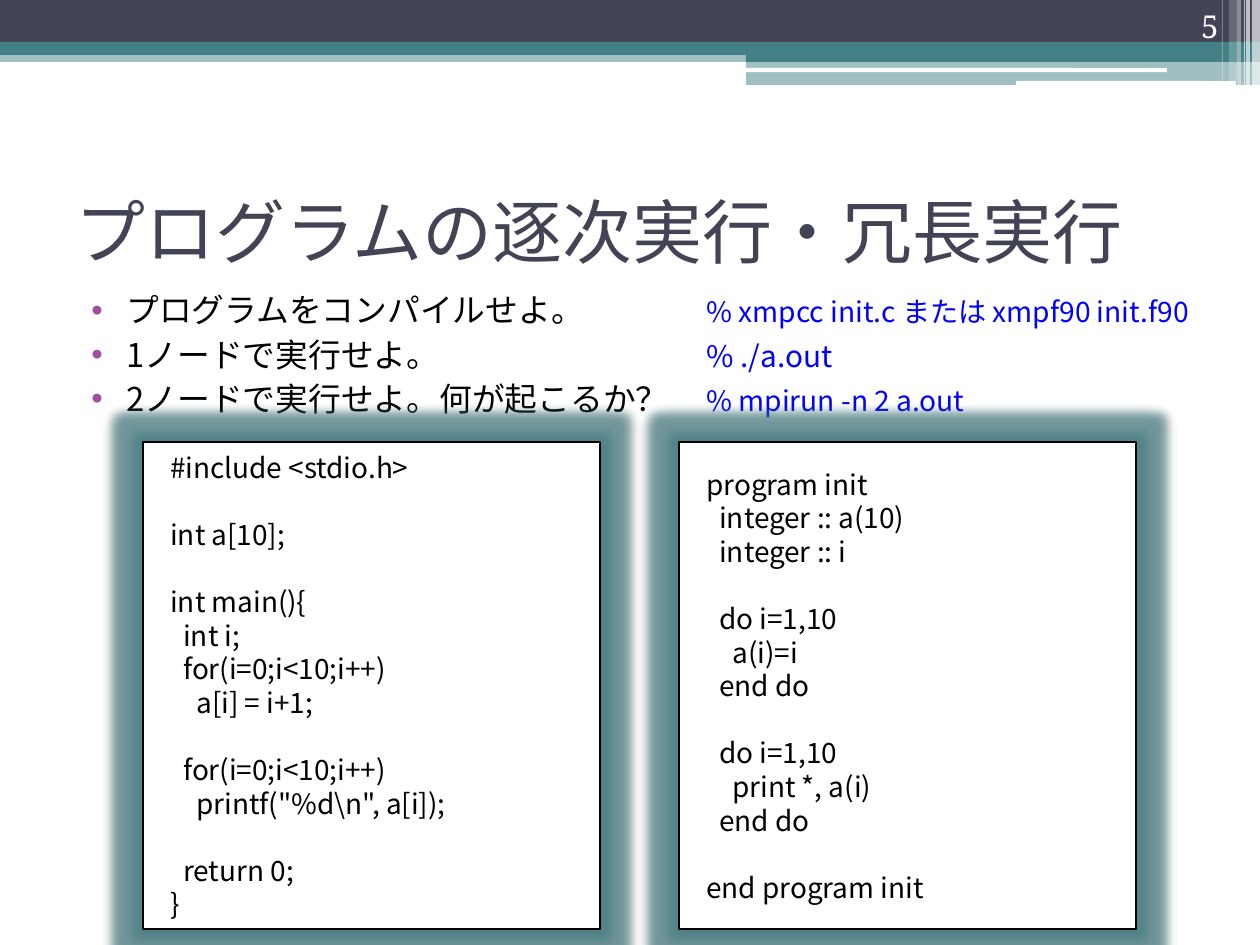
"""Build the slide on sequential and redundant program execution."""
from dataclasses import dataclass

from lxml import etree
from pptx import Presentation
from pptx.dml.color import RGBColor
from pptx.enum.shapes import MSO_SHAPE
from pptx.enum.text import MSO_ANCHOR, PP_ALIGN
from pptx.oxml import parse_xml
from pptx.oxml.ns import nsdecls, qn
from pptx.util import Pt

RECT, ROUND = MSO_SHAPE.RECTANGLE, MSO_SHAPE.ROUNDED_RECTANGLE
LEFT, RIGHT = PP_ALIGN.LEFT, PP_ALIGN.RIGHT
TOP, MIDDLE, BOTTOM = MSO_ANCHOR.TOP, MSO_ANCHOR.MIDDLE, MSO_ANCHOR.BOTTOM
PX = 914400 // 126


@dataclass(frozen=True)
class Theme:
    """Colours, fonts and type sizes."""
    navy: str = "424456"
    teal: str = "438086"
    white: str = "FFFFFF"
    black: str = "000000"
    blue: str = "0000FF"
    bullet: str = "A04DA3"
    sans: str = "Noto Sans CJK JP"
    serif: str = "Noto Serif"
    heading: str = "Open Sans"
    title: float = 40
    body: float = 18.7
    command: float = 16.1
    run: float = 17
    code: float = 16
    number: float = 18


theme = Theme()


def add_block(kind, left, top, width, height, color, alpha=100):
    """Add a filled, borderless shape measured in pixels."""
    shape = page.shapes.add_shape(kind, left * PX, top * PX, width * PX, height * PX)
    shape.shadow.inherit = False
    shape.line.fill.background()
    shape.fill.solid()
    shape.fill.fore_color.rgb = RGBColor.from_string(color)
    if alpha < 100:
        tint = shape.fill._xPr.find(qn("a:solidFill"))[0]
        etree.SubElement(tint, qn("a:alpha"), val=str(alpha * 1000))
    return shape


def write(para, text, *, size, color, font=theme.sans, align=LEFT):
    """Append formatted text to a paragraph."""
    para.alignment = align
    span = para.add_run()
    span.text = text
    span.font.size = Pt(size)
    span.font.name = font
    span.font.color.rgb = RGBColor.from_string(color)
    etree.SubElement(span.font._element, qn("a:ea"), typeface=font)


deck = Presentation()
deck.slide_width, deck.slide_height = 1260 * PX, 945 * PX
page = deck.slides.add_slide(deck.slide_layouts[6])

for band in [
    (RECT, 0, 50, 1260, 12, theme.teal, 50),
    (RECT, 0, 0, 1260, 43, theme.navy),
    (RECT, 0, 42, 1260, 13, theme.teal),
    (RECT, 746, 49, 514, 13, theme.teal),
    (RECT, 746, 60, 514, 25, theme.teal, 50),
    (ROUND, 745, 68, 422, 4, theme.white),
    (ROUND, 1016, 81, 220, 5, theme.white),
]:
    add_block(*band)

for left, width, height, alpha in [
    (1252, 8, 86, 65), (1246, 4, 86, 65), (1244, 1, 86, 60),
    (1237, 4, 86, 40), (1229, 8, 81, 20), (1222, 1, 81, 30),
]:
    add_block(RECT, left, 0, width, height, theme.white, alpha)

frames = []
for left, top, width, height, anchor in [
    (64, 284, 1181, 149, TOP),
    (63, 157, 1134, 148, MIDDLE),
    (1126, 0, 105, 51, BOTTOM),
]:
    box = page.shapes.add_textbox(left * PX, top * PX, width * PX, height * PX)
    box.text_frame.word_wrap = True
    box.text_frame.vertical_anchor = anchor
    frames.append(box.text_frame)
tasks, title, number = frames

write(title.paragraphs[0], "プログラムの逐次実行・冗長実行",
      size=theme.title, color=theme.navy, font=theme.heading)
write(number.paragraphs[0], "5", size=theme.number, color=theme.white,
      font=theme.serif, align=RIGHT)

for index, (task, command, size) in enumerate([
    ("プログラムをコンパイルせよ。", "% xmpcc init.c または xmpf90 init.f90", theme.command),
    ("1ノードで実行せよ。", "% ./a.out", theme.run),
    ("2ノードで実行せよ。何が起こるか？", "% mpirun -n 2 a.out", theme.command),
]):
    para = tasks.add_paragraph() if index else tasks.paragraphs[0]
    write(para, task + "\t", size=theme.body, color=theme.black)
    write(para, command, size=size, color=theme.blue)
    para.space_before = Pt(3)
    para.line_spacing = Pt(22.4)
    layout = para._p.get_or_add_pPr()
    layout.set("marL", str(50 * PX))
    layout.set("indent", str(-35 * PX))
    tint = etree.SubElement(layout, qn("a:buClr"))
    etree.SubElement(tint, qn("a:srgbClr"), val=theme.bullet)
    etree.SubElement(layout, qn("a:buFont"), typeface="Arial")
    etree.SubElement(layout, qn("a:buChar"), char="•")
    stops = etree.SubElement(layout, qn("a:tabLst"))
    etree.SubElement(stops, qn("a:tab"), pos=str(630 * PX), algn="l")

c_program = r"""#include <stdio.h>

int a[10];

int main(){
  int i;
  for(i=0;i<10;i++)
    a[i] = i+1;

  for(i=0;i<10;i++)
    printf("%d\n", a[i]);

  return 0;
}"""
fortran_program = """program init
  integer :: a(10)
  integer :: i

  do i=1,10
    a(i)=i
  end do

  do i=1,10
    print *, a(i)
  end do

end program init"""

for left, program in [(143, c_program), (679, fortran_program)]:
    panel = add_block(RECT, left, 442, 457, 487, theme.white)
    panel.line.color.rgb = RGBColor.from_string(theme.black)
    panel.line.width = Pt(0.75)
    effects = panel._element.spPr.find(qn("a:effectLst"))
    effects.append(parse_xml(
        f'<a:glow {nsdecls("a")} rad="139700"><a:srgbClr val="{theme.teal}">'
        '<a:alpha val="60000"/></a:srgbClr></a:glow>'))
    effects.append(parse_xml(
        f'<a:outerShdw {nsdecls("a")} blurRad="50800" dist="25400" dir="5400000">'
        f'<a:srgbClr val="{theme.black}"><a:alpha val="45000"/></a:srgbClr></a:outerShdw>'))
    frame = panel.text_frame
    frame.word_wrap = True
    frame.vertical_anchor = MIDDLE
    para, gap = frame.paragraphs[0], 0
    for line in program.split("\n"):
        if not line:
            gap = 19.2
            continue
        code = line.lstrip()
        if para.runs:
            para = frame.add_paragraph()
        write(para, code, size=theme.code, color=theme.black)
        para.line_spacing = Pt(19.2)
        para.space_before = Pt(gap)
        depth = (len(line) - len(code)) // 2
        para._p.get_or_add_pPr().set("marL", str((15 + 13 * depth) * PX))
        gap = 0

deck.save("out.pptx")
